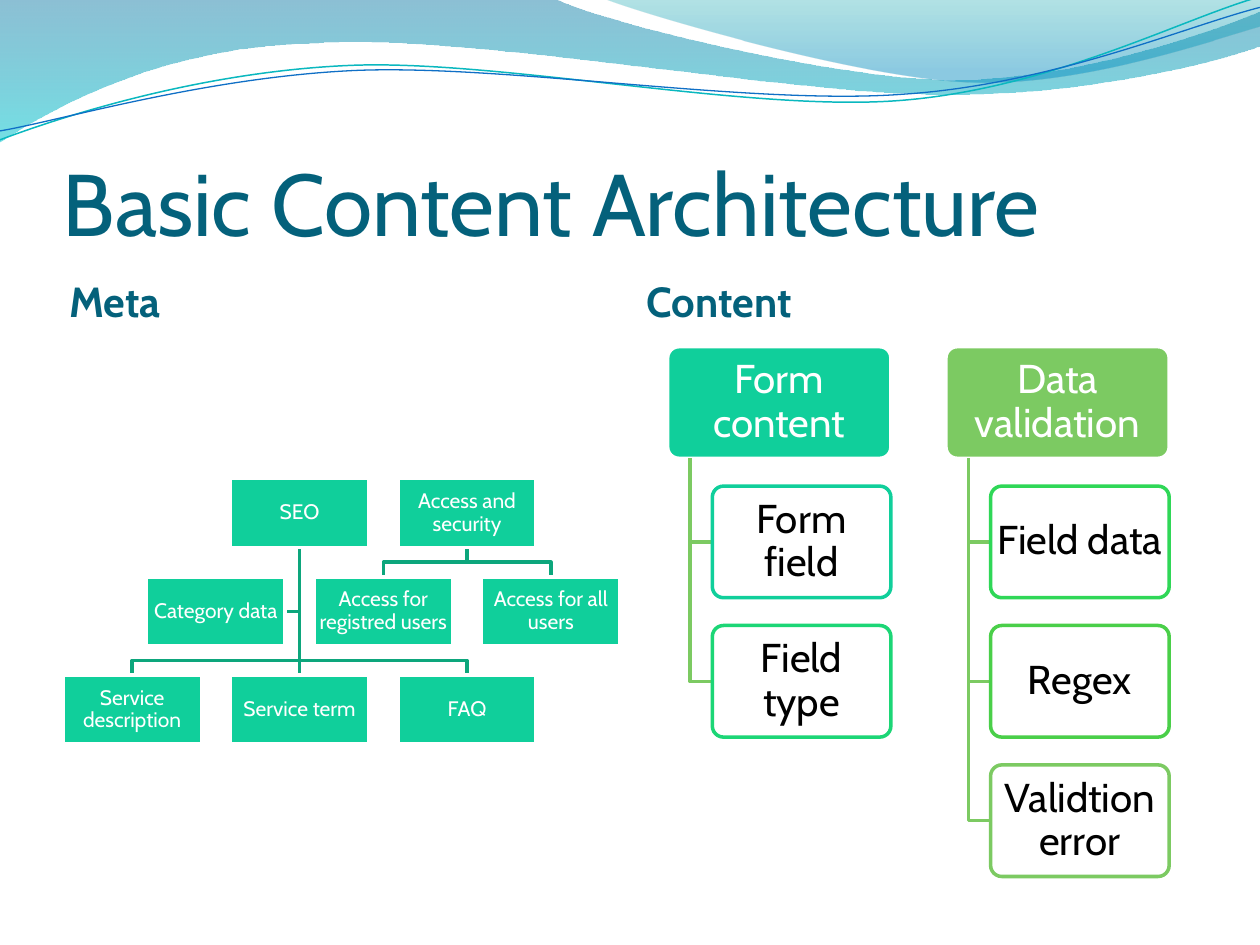
from lxml import etree
from pptx import Presentation
from pptx import util as u
from pptx.dml.color import RGBColor
from pptx.enum import shapes, text
from pptx.oxml.ns import qn

FONT = "Cabin"
WHITE = RGBColor(0xFF, 0xFF, 0xFF)
BLACK = RGBColor(0, 0, 0)
TITLE = RGBColor(0x04, 0x61, 0x7B)
MINT = RGBColor(0x10, 0xCF, 0x9B)
TREE_LINE = RGBColor(0x0D, 0xA6, 0x7C)
GREEN = RGBColor(0x7C, 0xCA, 0x62)
EMERALD = RGBColor(0x1C, 0xD6, 0x76)
SPRING = RGBColor(0x2F, 0xD7, 0x57)
GRASS = RGBColor(0x4A, 0xCF, 0x49)
BAND_BLUE = RGBColor(0x00, 0x74, 0xA1)
BAND_CYAN = RGBColor(0x00, 0xC6, 0xCF)
CREST_TEAL = RGBColor(0x00, 0xA1, 0xA9)
CREST_BLUE = RGBColor(0x00, 0x8B, 0xBF)
WAVE_TEAL = RGBColor(0x0A, 0xB8, 0xBF)
WAVE_BLUE = RGBColor(0x0F, 0x6F, 0xC6)


def set_alpha(color_el, percent):
    etree.SubElement(color_el, qn("a:alpha")).set("val", str(percent * 1000))


def put_text(sp, content, size, color, inset, anchor, align, bold=False, spacing=None):
    tf = sp.text_frame
    tf.word_wrap = True
    tf.vertical_anchor = anchor
    tf.margin_left, tf.margin_top, tf.margin_right, tf.margin_bottom = map(u.Cm, inset)
    p = tf.paragraphs[0]
    p.text = content
    p.alignment = align
    p.line_spacing = spacing
    p.font.name, p.font.size, p.font.bold = FONT, u.Pt(size), bold
    p.font.color.rgb = color


def add_heading(s, box, content, size, inset, anchor, bold=False):
    sp = s.shapes.add_textbox(*map(u.Cm, box))
    put_text(sp, content, size, TITLE, inset, anchor, text.PP_ALIGN.LEFT, bold)


def add_node(s, kind, box, content, size, fill, line, color, inset):
    sp = s.shapes.add_shape(kind, *map(u.Cm, box))
    sp.shadow.inherit = False
    sp.fill.solid()
    sp.fill.fore_color.rgb = fill
    sp.line.color.rgb = line
    sp.line.width = u.Pt(2)
    put_text(sp, content, size, color, inset, text.MSO_ANCHOR.MIDDLE,
             text.PP_ALIGN.CENTER, spacing=0.9)
    return sp


def add_path(s, points, line=None, width=2, close=False):
    pts = [(u.Cm(x), u.Cm(y)) for x, y in points]
    builder = s.shapes.build_freeform(*pts[0])
    builder.add_line_segments(pts[1:], close=close)
    sp = builder.convert_to_shape()
    sp.shadow.inherit = False
    sp.fill.background()
    if line is None:
        sp.line.fill.background()
    else:
        sp.line.color.rgb = line
        sp.line.width = u.Pt(width)
    return sp


def add_curve(s, left, top, start, steps, **style):
    """Draw steps of one pair (straight) or three pairs (cubic curve)."""
    flat = [*start, *(v for step in steps for v in step)]
    points = [(left + x, top + y) for x, y in zip(flat[::2], flat[1::2])]
    sp = add_path(s, points, **style)
    segments = iter(list(sp.element.spPr.iter(qn("a:lnTo"))))
    for step in steps:
        first = next(segments)
        if len(step) == 6:
            bezier = etree.Element(qn("a:cubicBezTo"))
            first.addprevious(bezier)
            for segment in (first, next(segments), next(segments)):
                bezier.append(segment[0])
                segment.getparent().remove(segment)
    return sp


def add_waves(s, left, top):
    # Translucent bands: start, steps, then (position, colour, opacity) stops
    bands = [
        ((0, 0), [(11.18, -0.03), (12.09, 0.43, 16.87, 1.6, 19.25, 1.6),
                  (21.67, 1.6, 24.33, 0.66, 25.4, 0.23), (25.43, 0.91),
                  (24.97, 1.12, 22.1, 1.93, 18.95, 1.9),
                  (15.8, 1.9, 9.7, 0.71, 6.53, 0.86),
                  (3.28, 0.91, 1.17, 2.11, -0.03, 2.87)],
         [(0, BAND_BLUE, 45), (1, BAND_CYAN, 55)]),
        ((12.17, -0.03), [(12.93, 0.28, 17.32, 1.57, 19.53, 1.65),
                          (21.74, 1.75, 24.41, 0.81, 25.4, 0.53), (25.4, 0)],
         [(0, CREST_TEAL, 30), (0.8, CREST_BLUE, 45)]),
    ]
    for start, steps, stops in bands:
        sp = add_curve(s, left, top, start, steps, close=True)
        sp.fill.gradient()
        sp.fill.gradient_angle = 270
        for stop, (position, color, _) in zip(sp.fill.gradient_stops, stops):
            stop.position = position
            stop.color.rgb = color
        for el, (_, _, opacity) in zip(sp.element.spPr.iter(qn("a:srgbClr")), stops):
            set_alpha(el, opacity)

    # Thin wave lines
    add_curve(s, left, top, (0, 2.82), [(1.22, 2.36, 4.01, 1.45, 7.04, 1.32),
                                        (10.03, 1.19, 15.06, 2.26, 18.11, 2.03),
                                        (21.16, 1.8, 23.83, 0.38, 25.35, -0.05)],
              line=WAVE_TEAL, width=0.85)
    add_curve(s, left, top, (0, 2.64), [(1.19, 2.44, 4.17, 1.55, 7.19, 1.42),
                                        (10.24, 1.3, 15.16, 2.13, 18.21, 1.9),
                                        (21.23, 1.7, 23.9, 0.53, 25.4, 0.15)],
              line=WAVE_BLUE, width=0.75)


def add_meta_tree(s, left, top, width):
    w, h, row = 2.79, 1.39, 1.98
    col = (width - w) / 5
    # Name: (half-column, row)
    nodes = {
        "SEO": (2, 0), "Service description": (0, 2), "Service term": (2, 2),
        "FAQ": (4, 2), "Category data": (1, 1), "Access and security": (4, 0),
        "Access for registred users": (3, 1), "Access for all users": (5, 1),
    }
    links = [("Access and security", "Access for all users"),
             ("Access and security", "Access for registred users"),
             ("SEO", "FAQ"), ("SEO", "Service term"), ("SEO", "Service description")]

    def corner(name):
        c, r = nodes[name]
        return left + c * col, top + r * row

    # Links bend halfway down the gap above the child
    for parent, child in links:
        (px, py), (cx, cy) = corner(parent), corner(child)
        x0, y0, x1, bend = px + w / 2, py + h, cx + w / 2, cy - (row - h) / 2
        if x0 == x1:
            cn = s.shapes.add_connector(shapes.MSO_CONNECTOR.STRAIGHT,
                                        *map(u.Cm, (x0, y0, x1, cy)))
            cn.line.color.rgb = TREE_LINE
            cn.line.width = u.Pt(2)
            etree.SubElement(cn.element.spPr, qn("a:effectLst"))
        else:
            add_path(s, [(x0, y0), (x0, bend), (x1, bend), (x1, cy)], TREE_LINE)

    # Side link to the assistant node
    (px, py), (cx, cy) = corner("SEO"), corner("Category data")
    add_path(s, [(px + w / 2, py + h), (px + w / 2, cy + h / 2), (cx + w, cy + h / 2)],
             TREE_LINE)

    for name in nodes:
        add_node(s, shapes.MSO_SHAPE.RECTANGLE, (*corner(name), w, h), name, 12,
                 MINT, WHITE, WHITE, (0.02,) * 4)


def add_content_list(s, left, top, head, fill, items):
    w, h, indent, pitch, stem = 4.5, 2.25, 0.9, 2.81, 0.45
    inset = (0.05, 0.02, 0.05, 0.02)
    kind = shapes.MSO_SHAPE.ROUNDED_RECTANGLE
    sp = add_node(s, kind, (left, top, w, h), head, 23, fill, WHITE, WHITE, inset)
    sp.adjustments[0] = 0.1
    for i, (name, line) in enumerate(items, 1):
        y = top + i * pitch
        add_path(s, [(left + stem, top + h), (left + stem, y + h / 2),
                     (left + indent, y + h / 2)], GREEN)
        sp = add_node(s, kind, (left + indent, y, w - indent, h), name, 23,
                      WHITE, line, BLACK, inset)
        sp.adjustments[0] = 0.1
        set_alpha(sp.element.spPr.find(qn("a:solidFill"))[0], 90)


def main():
    prs = Presentation()
    prs.slide_width, prs.slide_height = u.Cm(25.4), u.Cm(19.05)
    s = prs.slides.add_slide(prs.slide_layouts[6])

    add_waves(s, 0, 0)

    # Title and column headings
    add_heading(s, (1.27, 1.95, 22.86, 3.18), "Basic Content Architecture", 50,
                (0, 0.13, 0, 0), text.MSO_ANCHOR.BOTTOM)
    for x, name in ((1.27, "Meta"), (12.9, "Content")):
        add_heading(s, (x, 5.15, 11.23, 1.83), name, 24, (0.13, 0, 0.13, 0),
                    text.MSO_ANCHOR.MIDDLE, bold=True)

    add_meta_tree(s, 1.27, 9.65, 11.23)

    add_content_list(s, 13.46, 6.99, "Form content", MINT,
                     [("Form field", MINT), ("Field type", EMERALD)])
    add_content_list(s, 19.07, 6.99, "Data validation", GREEN,
                     [("Field data", SPRING), ("Regex", GRASS), ("Validtion error", GREEN)])

    prs.save("out.pptx")


if __name__ == "__main__":
    main()
